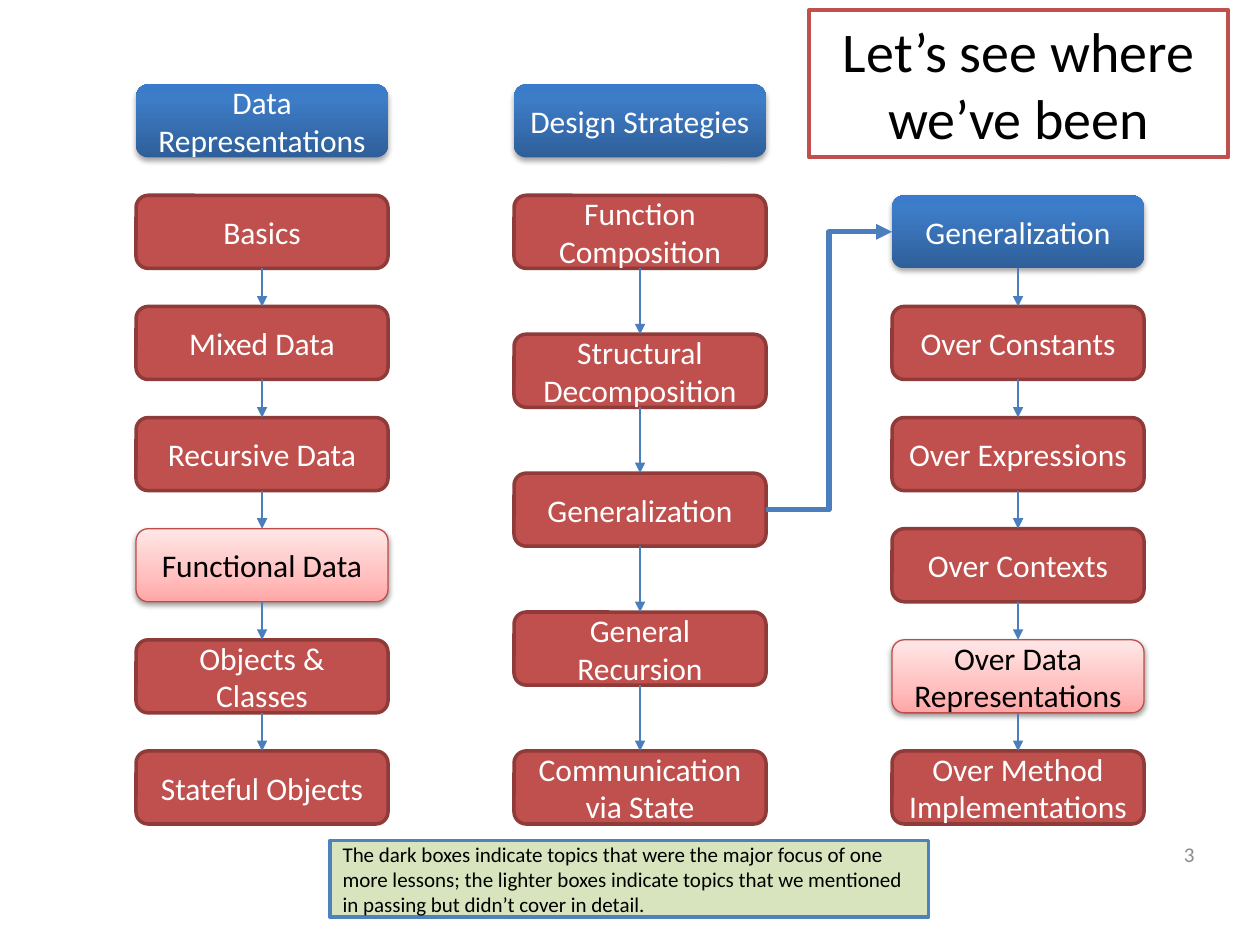
from lxml.etree import SubElement
from pptx import Presentation
from pptx.dml.color import RGBColor
from pptx.enum.shapes import MSO_CONNECTOR, MSO_SHAPE
from pptx.enum.text import MSO_ANCHOR, MSO_AUTO_SIZE, PP_ALIGN
from pptx.oxml.ns import qn
from pptx.util import Inches, Pt

BOX_WIDTH, BOX_HEIGHT = 2, 0.58
HEADER_TOP, FIRST_TOP, LAST_TOP = 0.67, 1.55, 5.96
TOP, LEFT, BOTTOM, RIGHT = range(4)
HEADER = {
    "gradient": [(0, "2F5F99"), (80, "3D7CC7"), (100, "3A7CCB")],
    "shadow": (35, 1.8), "line": None, "text": "FFFFFF",
}
DARK = {"fill": "C0504D", "line": ("8E3B39", 2), "text": "FFFFFF"}
LIGHT = {
    "gradient": [(0, "FFA6A5"), (35, "FFC0BF"), (100, "FFE7E7")],
    "shadow": (38, 1.6), "line": ("BF4C48", 0.75), "text": "000000",
}
DATA_TOPICS = [
    ("Basics", DARK), ("Mixed Data", DARK), ("Recursive Data", DARK),
    ("Functional Data", LIGHT), ("Objects & Classes", DARK),
    ("Stateful Objects", DARK),
]
STRATEGY_TOPICS = [
    ("Function Composition", DARK), ("Structural Decomposition", DARK),
    ("Generalization", DARK), ("General Recursion", DARK),
    ("Communication via State", DARK),
]
GENERALIZATION_TOPICS = [
    ("Generalization", HEADER), ("Over Constants", DARK),
    ("Over Expressions", DARK), ("Over Contexts", DARK),
    ("Over Data Representations", LIGHT),
    ("Over Method Implementations", DARK),
]
NOTE = (
    "The dark boxes indicate topics that were the major focus of one more "
    "lessons; the lighter boxes indicate topics that we mentioned in passing "
    "but didn’t cover in detail."
)


def color(value):
    """Turn a hex string into a colour."""
    return RGBColor.from_string(value)


def set_line(line, value, width):
    """Set the colour and the width in points of a line."""
    line.color.rgb = color(value)
    line.width = Pt(width)


def write(shape, text, size, value, alignment):
    """Put one vertically centred run of text in a shape."""
    frame = shape.text_frame
    frame.word_wrap = True
    frame.auto_size = MSO_AUTO_SIZE.NONE
    frame.vertical_anchor = MSO_ANCHOR.MIDDLE
    paragraph = frame.paragraphs[0]
    paragraph.alignment = alignment
    run = paragraph.add_run()
    run.text = text
    run.font.size = Pt(size)
    run.font.name = "Calibri"
    run.font.color.rgb = color(value)


def set_gradient(shape, stops):
    """Fill a shape with a gradient that runs from bottom to top."""
    shape.fill.background()
    properties = shape.element.spPr
    gradient = properties.makeelement(qn("a:gradFill"), {"rotWithShape": "1"})
    properties.replace(properties.find(qn("a:noFill")), gradient)
    stop_list = SubElement(gradient, qn("a:gsLst"))
    for position, value in stops:
        stop = SubElement(stop_list, qn("a:gs"), pos=str(position * 1000))
        SubElement(stop, qn("a:srgbClr"), val=value)
    SubElement(gradient, qn("a:lin"), ang="16200000", scaled="0")


def set_shadow(shape, opacity, distance):
    """Give a shape a soft black shadow below it."""
    effects = shape.element.spPr.find(qn("a:effectLst"))
    shadow = SubElement(
        effects, qn("a:outerShdw"), blurRad=str(Pt(3.1)),
        dist=str(Pt(distance)), dir="5400000", rotWithShape="0",
    )
    black = SubElement(shadow, qn("a:srgbClr"), val="000000")
    SubElement(black, qn("a:alpha"), val=str(opacity * 1000))


def add_box(slide, left, top, text, style):
    """Add a rounded topic box in the given style."""
    shape = slide.shapes.add_shape(
        MSO_SHAPE.ROUNDED_RECTANGLE, Inches(left), Inches(top),
        Inches(BOX_WIDTH), Inches(BOX_HEIGHT),
    )
    shape.shadow.inherit = False
    if "gradient" in style:
        set_gradient(shape, style["gradient"])
        set_shadow(shape, *style["shadow"])
    else:
        shape.fill.solid()
        shape.fill.fore_color.rgb = color(style["fill"])
    if style["line"]:
        set_line(shape.line, *style["line"])
    else:
        shape.line.fill.background()
    write(shape, text, 18, style["text"], PP_ALIGN.CENTER)
    return shape


def add_arrow(slide, kind, start, start_site, end, end_site, width):
    """Connect two boxes with an arrow."""
    connector = slide.shapes.add_connector(kind, 0, 0, 0, 0)
    connector.begin_connect(start, start_site)
    connector.end_connect(end, end_site)
    set_line(connector.line, "4B7EBC", width)
    properties = connector.element.spPr
    SubElement(properties.find(qn("a:ln")), qn("a:tailEnd"), type="triangle")
    SubElement(properties, qn("a:effectLst"))


def add_column(slide, left, topics):
    """Add evenly spaced topic boxes joined by arrows."""
    step = (LAST_TOP - FIRST_TOP) / (len(topics) - 1)
    boxes = [
        add_box(slide, left, FIRST_TOP + row * step, text, style)
        for row, (text, style) in enumerate(topics)
    ]
    for upper, lower in zip(boxes, boxes[1:]):
        add_arrow(slide, MSO_CONNECTOR.STRAIGHT, upper, BOTTOM, lower, TOP, 0.75)
    return boxes


def add_title(slide, text):
    """Turn the title placeholder into a rounded frame at the top right."""
    title = slide.shapes.title
    title.left, title.top = Inches(6.42), Inches(0.08)
    title.width, title.height = Inches(3.33), Inches(1.17)
    geometry = SubElement(title.element.spPr, qn("a:prstGeom"), prst="roundRect")
    SubElement(geometry, qn("a:avLst"))
    set_line(title.line, "C0504D", 2.25)
    write(title, text, 32, "000000", PP_ALIGN.CENTER)


def add_slide_number(slide, text):
    """Add the slide number at the bottom right."""
    box = slide.shapes.add_textbox(
        Inches(7.25), Inches(6.58), Inches(2.33), Inches(0.4)
    )
    write(box, text, 12, "8C8C8C", PP_ALIGN.RIGHT)


def add_note(slide, text):
    """Add the green box that explains the shades."""
    note = slide.shapes.add_shape(
        MSO_SHAPE.RECTANGLE, Inches(2.62), Inches(6.67), Inches(4.75), Inches(0.61)
    )
    note.shadow.inherit = False
    note.fill.solid()
    note.fill.fore_color.rgb = color("D7E4BD")
    set_line(note.line, "4F81BD", 2)
    write(note, text, 12, "000000", PP_ALIGN.LEFT)


def main():
    """Build the course map and save it."""
    presentation = Presentation()
    presentation.slide_width, presentation.slide_height = Inches(10), Inches(7.5)
    slide = presentation.slides.add_slide(presentation.slide_layouts[5])
    add_title(slide, "Let’s see where we’ve been")
    add_box(slide, 1.08, HEADER_TOP, "Data Representations", HEADER)
    add_column(slide, 1.08, DATA_TOPICS)
    add_box(slide, 4.08, HEADER_TOP, "Design Strategies", HEADER)
    strategies = add_column(slide, 4.08, STRATEGY_TOPICS)
    generalizations = add_column(slide, 7.08, GENERALIZATION_TOPICS)
    add_arrow(
        slide, MSO_CONNECTOR.ELBOW, strategies[2], RIGHT,
        generalizations[0], LEFT, 3,
    )
    add_slide_number(slide, "3")
    add_note(slide, NOTE)
    presentation.save("out.pptx")


if __name__ == "__main__":
    main()
